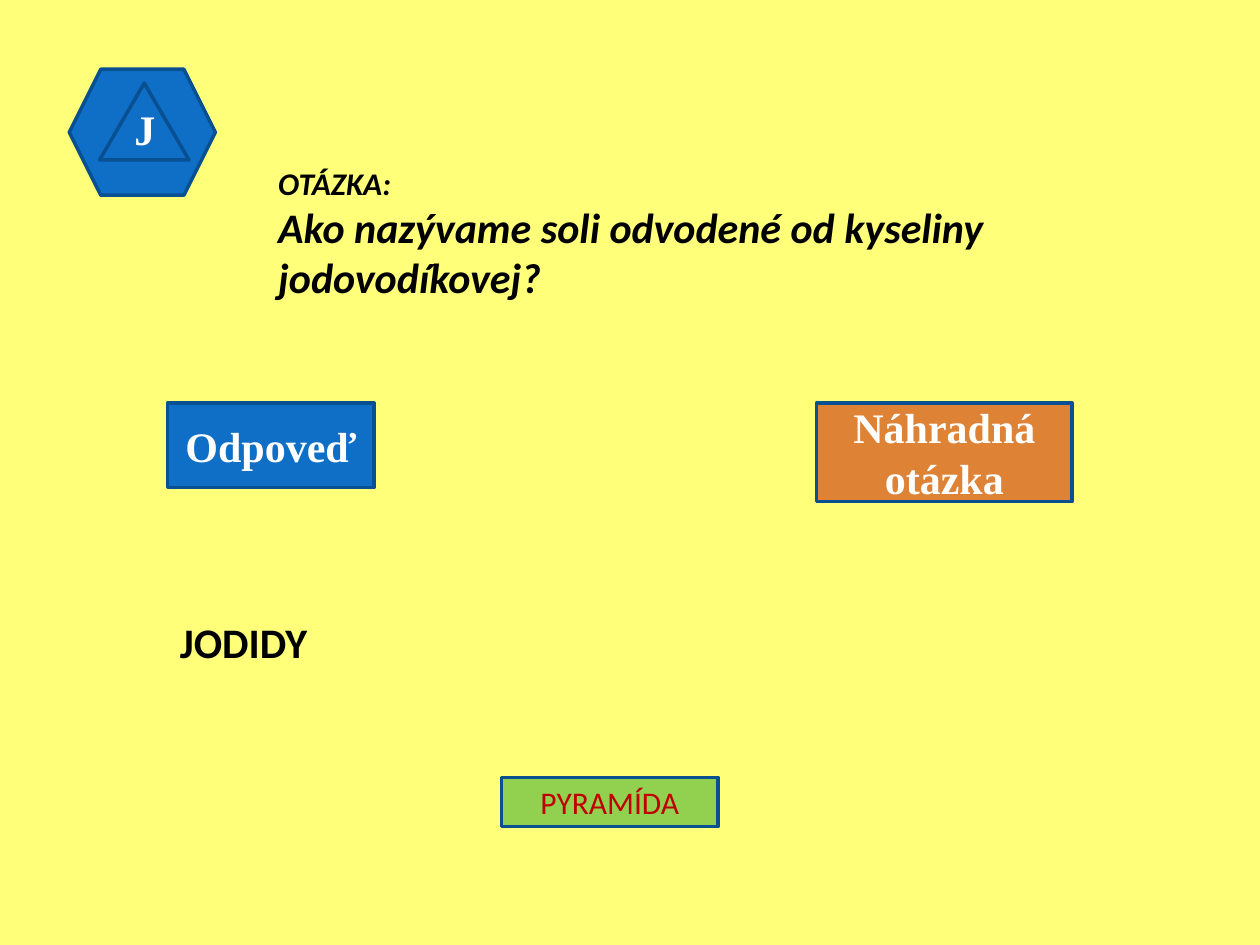
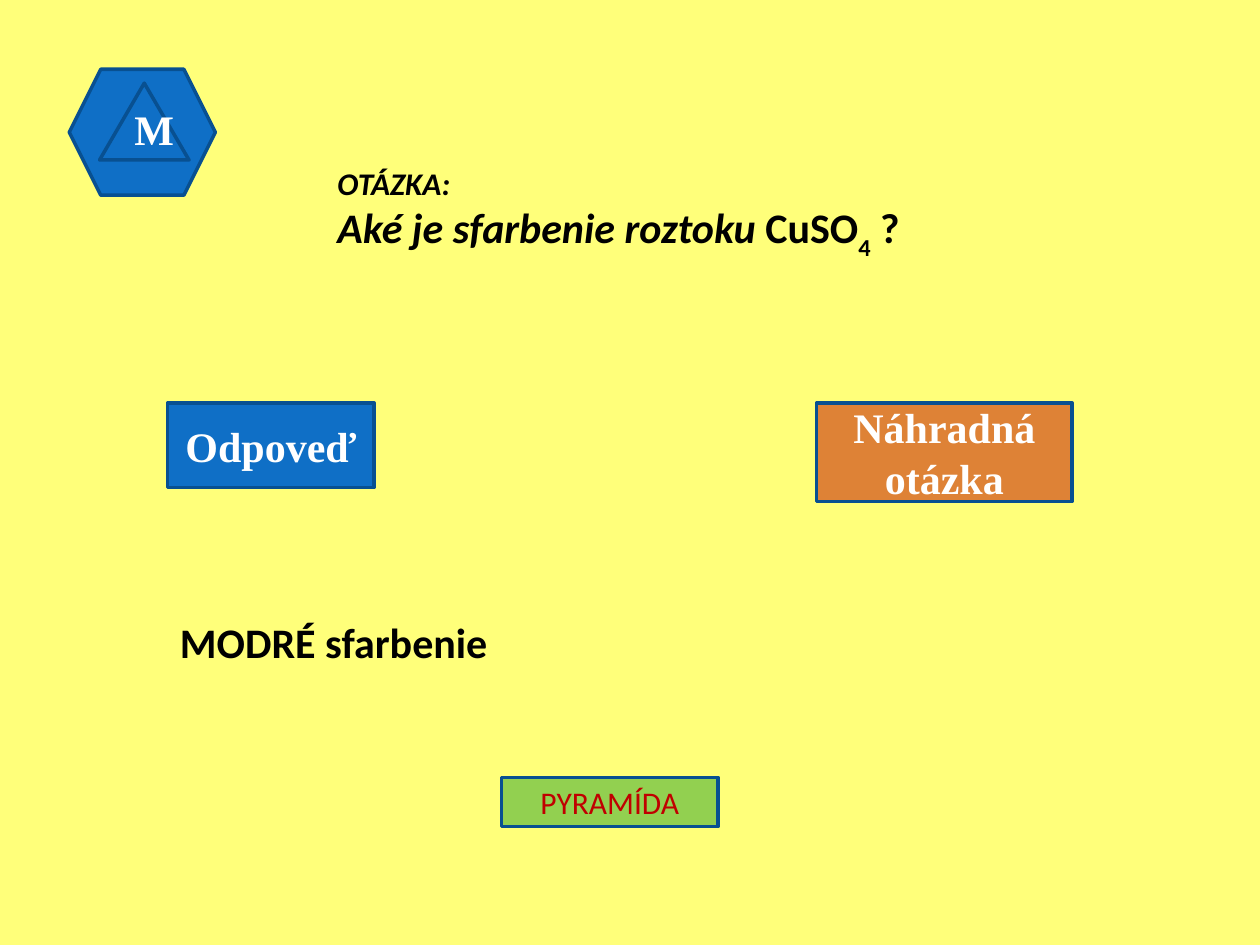
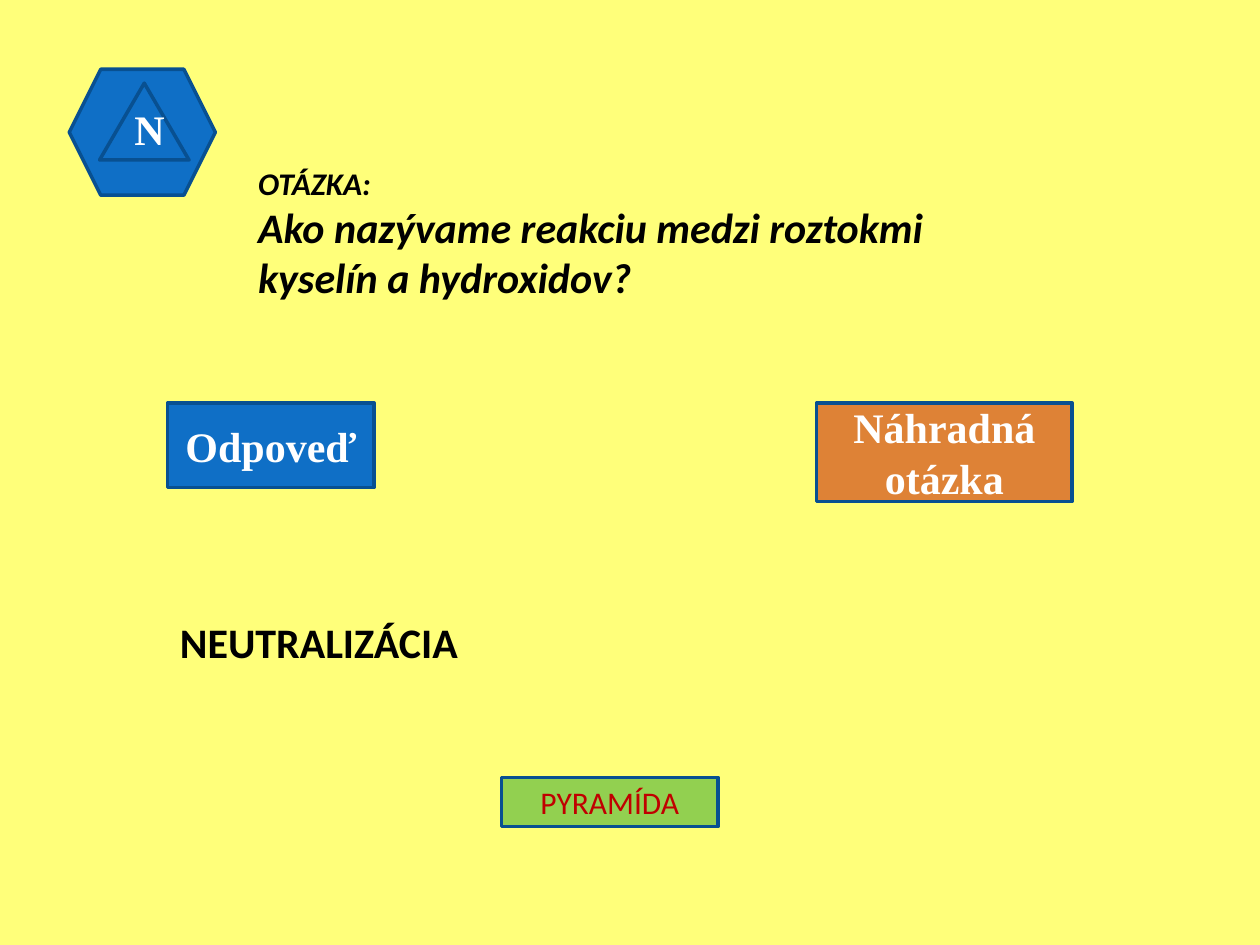
from dataclasses import dataclass

from pptx import Presentation
from pptx.dml.color import RGBColor
from pptx.enum.shapes import MSO_SHAPE
from pptx.enum.text import MSO_ANCHOR, PP_ALIGN
from pptx.util import Inches, Pt


@dataclass(frozen=True)
class Theme:
    """Colours, fonts and sizes shared by every question page."""

    background: str = "FFFF7A"
    blue: str = "0F6FC6"
    outline: str = "085091"
    orange: str = "DE8236"
    green: str = "92D050"
    red: str = "C00000"
    black: str = "000000"
    white: str = "FFFFFF"
    body_font: str = "Calibri"
    label_font: str = "Times New Roman"
    small: int = 18
    large: int = 24
    line_width: int = 2


def write_span(para, text, *, font, size, color, bold=True, italic=False, baseline=0):
    """Append formatted text to a paragraph."""
    span = para.add_run()
    span.text = text
    span.font.name = font
    span.font.size = Pt(size)
    span.font.bold = bold
    span.font.italic = italic
    span.font.color.rgb = RGBColor.from_string(color)
    if baseline:
        span._r.get_or_add_rPr().set("baseline", str(baseline * 1000))


class QuizDeck:
    """Hold the theme and the current page of the quiz."""

    def __init__(self, theme):
        """Start an empty deck."""
        self.theme = theme
        self.deck = Presentation()
        self.deck.slide_width = Inches(10)
        self.deck.slide_height = Inches(7.5)
        self.page = None

    def add_page(self):
        """Start a page with the shared background."""
        self.page = self.deck.slides.add_slide(self.deck.slide_layouts[6])
        fill = self.page.background.fill
        fill.solid()
        fill.fore_color.rgb = RGBColor.from_string(self.theme.background)

    def add_figure(self, kind, place, fill, text="", anchor=MSO_ANCHOR.MIDDLE, **style):
        """Draw an outlined shape with an optional centred label."""
        figure = self.page.shapes.add_shape(kind, *map(Inches, place))
        figure.shadow.inherit = False
        figure.fill.solid()
        figure.fill.fore_color.rgb = RGBColor.from_string(fill)
        figure.line.color.rgb = RGBColor.from_string(self.theme.outline)
        figure.line.width = Pt(self.theme.line_width)
        if text:
            label = {"font": self.theme.label_font, "size": self.theme.large,
                     "color": self.theme.white}
            figure.text_frame.word_wrap = True
            figure.text_frame.vertical_anchor = anchor
            para = figure.text_frame.paragraphs[0]
            para.alignment = PP_ALIGN.CENTER
            write_span(para, text, **(label | style))

    def add_text(self, place, paragraphs):
        """Place a text box; each paragraph is a list of (text, format) spans."""
        box = self.page.shapes.add_textbox(*map(Inches, place))
        frame = box.text_frame
        frame.word_wrap = True
        base = {"font": self.theme.body_font, "size": self.theme.large,
                "color": self.theme.black}
        for index, spans in enumerate(paragraphs):
            para = frame.add_paragraph() if index else frame.paragraphs[0]
            for text, style in spans:
                write_span(para, text, **(base | style))

    def add_badge(self, letter):
        """Draw the hexagon badge with its lettered triangle."""
        blue = self.theme.blue
        self.add_figure(MSO_SHAPE.HEXAGON, (0.55, 0.55, 1.16, 1), blue)
        self.add_figure(MSO_SHAPE.ISOSCELES_TRIANGLE, (0.79, 0.66, 0.71, 0.61), blue,
                        letter, MSO_ANCHOR.BOTTOM)

    def add_button(self, text, place, fill, **style):
        """Draw a labelled button."""
        self.add_figure(MSO_SHAPE.FLOWCHART_PROCESS, place, fill, text, **style)

    def add_question(self, letter, left, width, question, answer, answer_width):
        """Build a complete question page."""
        theme = self.theme
        self.add_page()
        self.add_badge(letter)
        heading = [("OTÁZKA:", {"size": theme.small, "italic": True})]
        self.add_text((left, 1.25, width, 1.2), [heading, question])
        self.add_button("Odpoveď", (1.33, 3.2, 1.64, 0.67), theme.blue)
        self.add_button("Náhradná otázka", (6.48, 3.2, 2.03, 0.78), theme.orange)
        self.add_button("PYRAMÍDA", (3.98, 6.17, 1.72, 0.39), theme.green,
                        font=theme.body_font, size=theme.small, color=theme.red, bold=False)
        self.add_text((1.33, 4.84, answer_width, 0.5), [[(answer, {})]])


def main():
    """Build and save the quiz pages."""
    quiz = QuizDeck(Theme())
    italic = {"italic": True}
    quiz.add_question(
        "J", 2.11, 5.86,
        [("Ako nazývame soli odvodené od kyseliny jodovodíkovej?", italic)],
        "JODIDY", 1.64)
    quiz.add_question(
        "M", 2.58, 5,
        [("Aké je sfarbenie roztoku ", italic), ("CuSO", {}),
         ("4", {"baseline": -30}), (" ?", {})],
        "MODRÉ sfarbenie", 2.66)
    quiz.add_question(
        "N", 1.95, 6.02,
        [("Ako nazývame reakciu medzi roztokmi kyselín a hydroxidov?", italic)],
        "NEUTRALIZÁCIA", 2.66)
    quiz.deck.save("out.pptx")


if __name__ == "__main__":
    main()
